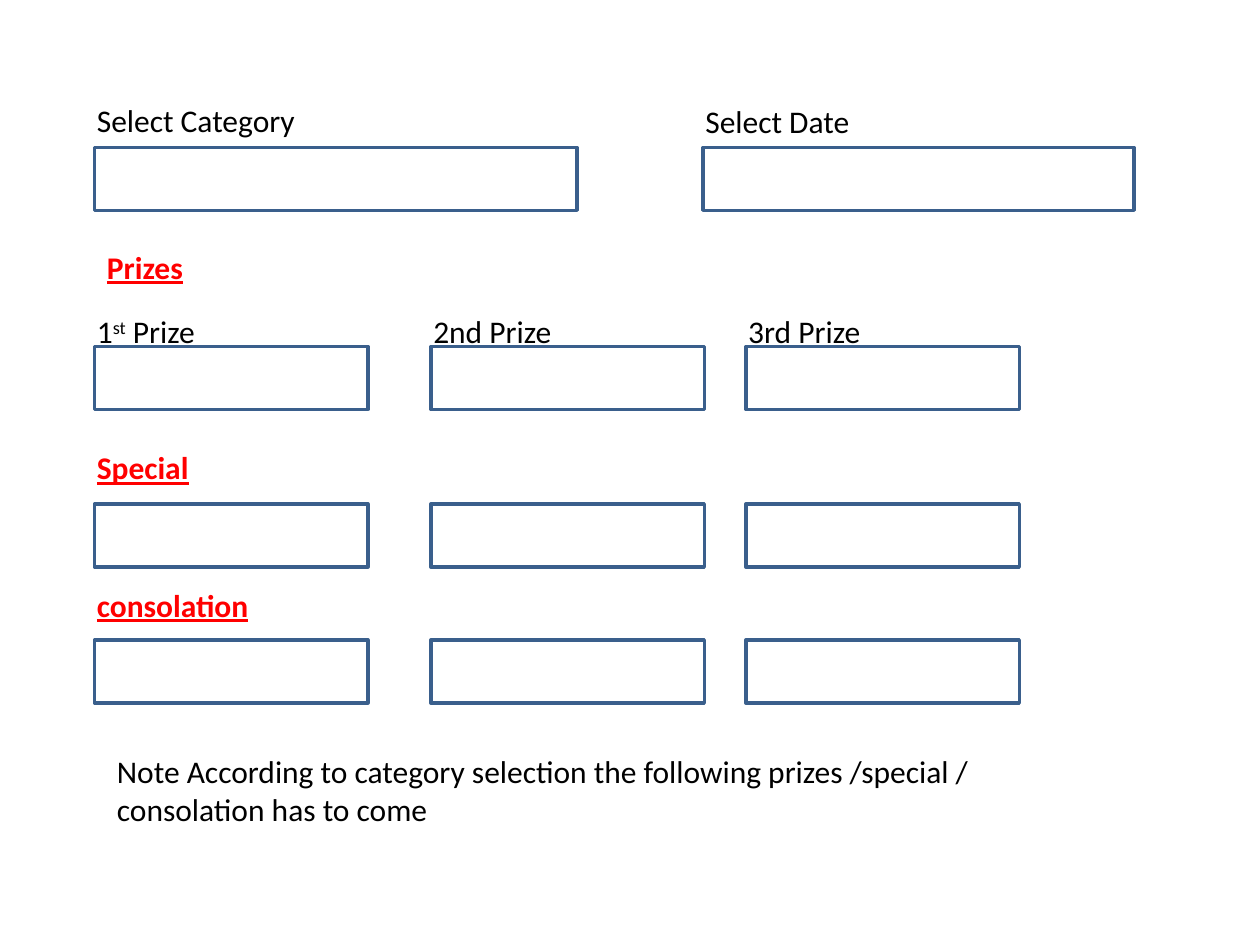
from pptx import Presentation
from pptx.dml.color import RGBColor
from pptx.enum.shapes import MSO_SHAPE
from pptx.enum.text import MSO_AUTO_SIZE
from pptx.util import Inches, Pt

SELECTORS = [
    ("Select Category", 0.75, 3.83, 0.75, 1.79),
    ("Select Date", 5.58, 3.42, 0.76, 1.36),
]
PRIZES = [
    ([("1", False), ("st", True), (" Prize", False)], 1.0),
    ([("2nd Prize", False)], 1.15),
    ([("3rd Prize", False)], 1.1),
]
HEADINGS = [
    ("Prizes", 0.75, 1.92, 0.81),
    ("Special", 0.67, 3.51, 0.93),
    ("consolation", 0.67, 4.6, 1.41),
]
NOTE = [
    "Note According to category selection the following prizes /special /",
    "consolation has to come",
]

COLUMNS = [0.75, 3.42, 5.92]
SELECTOR_TOP, PRIZE_TOP = 1.17, 2.75
EXTRA_TOPS = [4, 5.08]
FIELD_WIDTH, FIELD_HEIGHT = 2.17, 0.5
LABEL_INSET, LABEL_HEIGHT = 0.08, 0.4

THEME = {
    "outline": RGBColor(0x3A, 0x5F, 0x8C),
    "outline_width": Pt(2),
    "label": {"name": "Calibri", "size": Pt(18)},
    "label_color": RGBColor(0, 0, 0),
    "heading": {"name": "Calibri", "size": Pt(18), "bold": True, "underline": True},
    "heading_color": RGBColor(0xFF, 0, 0),
}


def add_field(shapes, left, top, width=FIELD_WIDTH):
    field = shapes.add_shape(
        MSO_SHAPE.RECTANGLE, Inches(left), Inches(top), Inches(width), Inches(FIELD_HEIGHT)
    )
    field.shadow.inherit = False
    field.fill.background()
    field.line.color.rgb = THEME["outline"]
    field.line.width = THEME["outline_width"]


def add_label(shapes, lines, left, top, width, height=LABEL_HEIGHT, style="label"):
    label = shapes.add_textbox(Inches(left), Inches(top), Inches(width), Inches(height))
    frame = label.text_frame
    frame.word_wrap = False
    frame.auto_size = MSO_AUTO_SIZE.SHAPE_TO_FIT_TEXT
    for index, pieces in enumerate(lines):
        paragraph = frame.add_paragraph() if index else frame.paragraphs[0]
        for words, raised in pieces:
            run = paragraph.add_run()
            run.text = words
            for attribute, value in THEME[style].items():
                setattr(run.font, attribute, value)
            run.font.color.rgb = THEME[f"{style}_color"]
            if raised:
                run._r.get_or_add_rPr().set("baseline", "30000")


def main():
    deck = Presentation()
    deck.slide_width, deck.slide_height = Inches(10), Inches(7.5)
    shapes = deck.slides.add_slide(deck.slide_layouts[6]).shapes

    for caption, left, width, caption_top, caption_width in SELECTORS:
        add_field(shapes, left, SELECTOR_TOP, width)
        add_label(shapes, [[(caption, False)]], left - LABEL_INSET, caption_top, caption_width)

    for left, (pieces, caption_width) in zip(COLUMNS, PRIZES):
        prize = shapes.add_group_shape().shapes
        add_field(prize, left, PRIZE_TOP)
        add_label(prize, [pieces], left - LABEL_INSET, PRIZE_TOP - 0.32, caption_width)

    for top in EXTRA_TOPS:
        for left in COLUMNS:
            add_field(shapes, left, top)

    for heading, left, top, width in HEADINGS:
        add_label(shapes, [[(heading, False)]], left, top, width, style="heading")

    add_label(shapes, [[(line, False)] for line in NOTE], 0.83, 5.92, 7.1, 0.71)

    deck.save("out.pptx")


if __name__ == "__main__":
    main()
